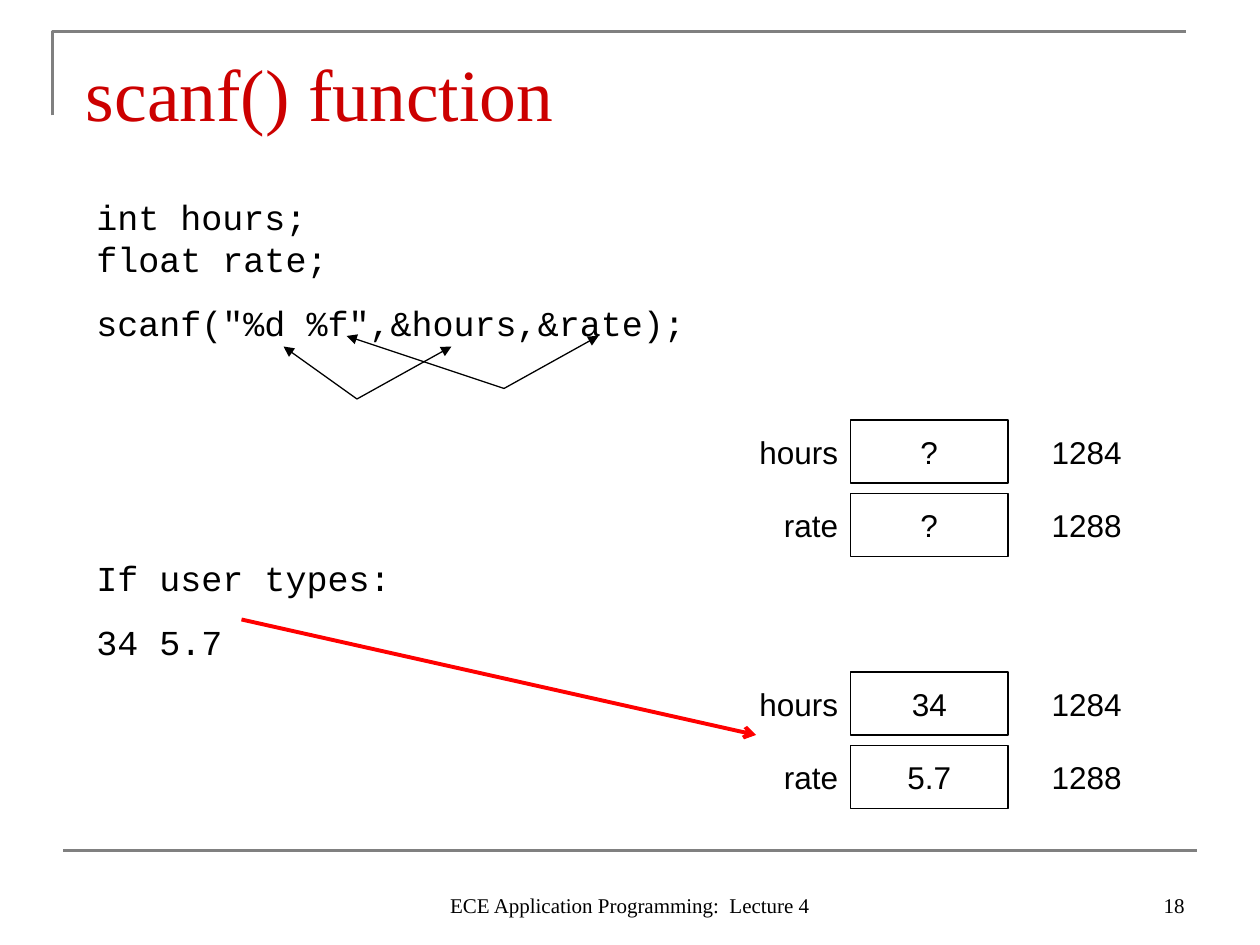
import pptx
import pptx.util
import pptx.dml.color
import pptx.enum.text
import pptx.enum.shapes
import pptx.oxml.ns
import lxml.etree

BLACK = pptx.dml.color.RGBColor(0, 0, 0)
GRAY = pptx.dml.color.RGBColor(0x80, 0x80, 0x80)
RED = pptx.dml.color.RGBColor(0xFF, 0, 0)
CRIMSON = pptx.dml.color.RGBColor(0xCC, 0, 0)
WIDE, HIGH = pptx.util.Inches(10), pptx.util.Inches(7.5)
COLS, ROWS = 120, 90
ALIGN = pptx.enum.text.PP_ALIGN
ANCHOR = pptx.enum.text.MSO_ANCHOR
SERIF, SANS, MONO = "Times New Roman", "Arial", "Courier New"


def scale(col, row):
    """Turn a grid column and row into slide lengths."""
    return round(WIDE * col / COLS), round(HIGH * row / ROWS)


def style(para, text, face, size, color, align):
    """Fill a paragraph, one run for each line."""
    para.alignment = align
    for num, line in enumerate(text.split("\n")):
        if num:
            para.add_line_break()
        run = para.add_run()
        run.text = line
        run.font.name = face
        run.font.size = pptx.util.Pt(size)
        run.font.color.rgb = color


def label(slide, box, text, face, size, align, anchor, color=BLACK, wrap=True):
    """Place a text box with one paragraph."""
    shape = slide.shapes.add_textbox(*scale(*box[:2]), *scale(*box[2:]))
    frame = shape.text_frame
    frame.word_wrap = wrap
    frame.vertical_anchor = anchor
    style(frame.paragraphs[0], text, face, size, color, align)


def rule(slide, start, end, color, width, head=None):
    """Draw a straight line, with an arrowhead at its end if named."""
    line = slide.shapes.add_connector(
        pptx.enum.shapes.MSO_CONNECTOR.STRAIGHT, *scale(*start), *scale(*end))
    line.line.color.rgb = color
    line.line.width = pptx.util.Pt(width)
    if head:
        tail = lxml.etree.SubElement(line.get_or_add_ln(), pptx.oxml.ns.qn("a:tailEnd"))
        tail.set("type", head)
    lxml.etree.SubElement(line._element.spPr, pptx.oxml.ns.qn("a:effectLst"))


def border(slide, box):
    """Draw the top corner and the bottom rule."""
    left, top, wide, high = box
    edge = slide.shapes.build_freeform(*scale(left, top + 8))
    edge.add_line_segments([scale(left, top), scale(left + wide, top)], close=False)
    shape = edge.convert_to_shape()
    shape.shadow.inherit = False
    shape.fill.background()
    shape.line.color.rgb = GRAY
    shape.line.width = pptx.util.Pt(1.5)
    base = top + high
    rule(slide, (left + 1, base), (left + 1 + wide, base), GRAY, 1.5)


def code(slide, box, parts):
    """Place the code block from pairs of space before and text."""
    shape = slide.shapes.add_textbox(*scale(*box[:2]), *scale(*box[2:]))
    frame = shape.text_frame
    frame.word_wrap = True
    for num, (space, text) in enumerate(parts):
        para = frame.add_paragraph() if num else frame.paragraphs[0]
        para.space_before = pptx.util.Pt(space)
        para.line_spacing = pptx.util.Pt(24)
        style(para, text, MONO, 20, BLACK, ALIGN.LEFT)


def memory(slide, box, cells):
    """Place rows of name, boxed value and address."""
    left, top, wide, high = box
    step, tall = wide / 3, 6
    gap = (high - tall) / (len(cells) - 1)
    for num, (name, value, place) in enumerate(cells):
        row = top + num * gap
        cell = slide.shapes.add_shape(
            pptx.enum.shapes.MSO_SHAPE.RECTANGLE,
            *scale(left + step, row), *scale(step, tall))
        cell.shadow.inherit = False
        cell.fill.background()
        cell.line.color.rgb = BLACK
        cell.line.width = pptx.util.Pt(0.75)
        cell.text_frame.word_wrap = False
        cell.text_frame.vertical_anchor = ANCHOR.MIDDLE
        style(cell.text_frame.paragraphs[0], value, SANS, 18, BLACK, ALIGN.CENTER)
        for col, text, align in ((0, name, ALIGN.RIGHT), (2, place, ALIGN.CENTER)):
            label(slide, (left + col * step, row, step, tall), text, SANS, 18,
                  align, ANCHOR.MIDDLE, wrap=False)


def link(slide, box, foot):
    """Draw two arrows from a foot column to the top corners of a box."""
    left, top, wide, high = box
    for col in (left, left + wide):
        rule(slide, (left + foot, top + high), (col, top), BLACK, 0.75, "triangle")


def footer(slide, box):
    """Place the course line and the slide number."""
    left, top, wide, high = box
    label(slide, (left, top, 38, high), "ECE Application Programming:  Lecture 4",
          SERIF, 12, ALIGN.CENTER, ANCHOR.BOTTOM)
    label(slide, (left + wide - 28, top, 28, high), "18",
          SERIF, 12, ALIGN.RIGHT, ANCHOR.BOTTOM)


def main():
    """Build the slide and save it."""
    deck = pptx.Presentation()
    deck.slide_width, deck.slide_height = WIDE, HIGH
    slide = deck.slides.add_slide(deck.slide_layouts[6])
    border(slide, (5, 3, 108, 78))
    label(slide, (7, 4, 102, 9), "scanf() function", SERIF, 42,
          ALIGN.LEFT, ANCHOR.TOP, CRIMSON)
    code(slide, (8, 18, 60, 45.7), [
        (0, "int hours;\nfloat rate;"),
        (12.5, 'scanf("%d %f",&hours,&rate);'),
        (122, "If user types:"),
        (12.5, "34 5.7")])
    for row, hours, rate in ((40, "?", "?"), (64, "34", "5.7")):
        memory(slide, (66, row, 45, 13),
               [("hours", hours, "1284"), ("rate", rate, "1288")])
    link(slide, (27, 33, 16, 5), 7)
    link(slide, (33, 32, 24, 5), 15)
    rule(slide, (23, 59), (72, 70), RED, 2.25, "arrow")
    footer(slide, (41, 82, 73, 6))
    deck.save("out.pptx")


if __name__ == "__main__":
    main()
